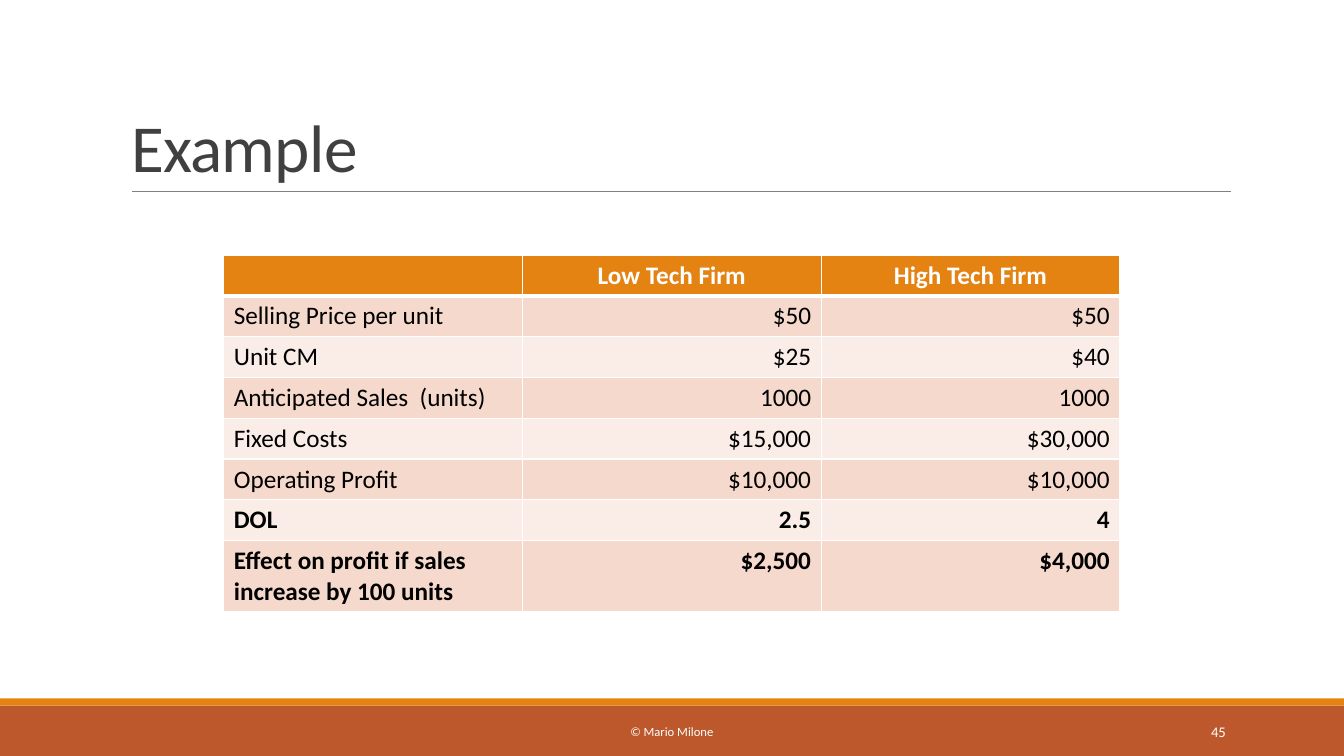
from lxml.etree import SubElement
from pptx import Presentation
from pptx.dml.color import RGBColor
from pptx.enum.shapes import MSO_CONNECTOR, MSO_SHAPE
from pptx.enum.text import MSO_ANCHOR, PP_ALIGN
from pptx.oxml import parse_xml
from pptx.oxml.ns import nsdecls, qn
from pptx.util import Inches, Pt

ORANGE, RUST, WHITE = "E48312", "BD582C", "FFFFFF"
BANDS = ("F5D9CC", "FAEDE7")
ROWS = [
    ("", "Low Tech Firm", "High Tech Firm"),
    ("Selling Price per unit", "$50", "$50"),
    ("Unit CM", "$25", "$40"),
    ("Anticipated Sales  (units)", "1000", "1000"),
    ("Fixed Costs", "$15,000", "$30,000"),
    ("Operating Profit", "$10,000", "$10,000"),
    ("DOL", "2.5", "4"),
    ("Effect on profit if sales increase by 100 units", "$2,500", "$4,000"),
]
BOLD_ROWS = (0, 6, 7)


def rgb(value):
    return RGBColor.from_string(value)


def box(*lengths):
    return [Inches(length) for length in lengths]


def write(tf, text, size, color, align, bold=False):
    p = tf.paragraphs[0]
    p.alignment = align
    r = p.add_run()
    r.text = text
    for name, value in {"name": "Calibri", "size": Pt(size), "bold": bold}.items():
        setattr(r.font, name, value)
    r.font.color.rgb = rgb(color)
    return p, r


def add_band(slide, top, height, color):
    sp = slide.shapes.add_shape(MSO_SHAPE.RECTANGLE, *box(0, top, 13.333, height))
    sp.shadow.inherit = False
    sp.fill.solid()
    sp.fill.fore_color.rgb = rgb(color)
    sp.line.fill.background()


def add_rule(slide):
    line = slide.shapes.add_connector(MSO_CONNECTOR.STRAIGHT, *box(1.31, 1.9, 12.21, 1.9))
    line.line.color.rgb = rgb("808080")
    line.line.width = Pt(0.5)
    SubElement(line._element.spPr, qn("a:effectLst"))


def add_title(slide, text):
    sp = slide.shapes.title
    sp.left, sp.top, sp.width, sp.height = box(1.2, 0.31, 11, 1.59)
    tf = sp.text_frame
    tf.vertical_anchor = MSO_ANCHOR.BOTTOM
    p, r = write(tf, text, 48, "404040", PP_ALIGN.LEFT)
    p.line_spacing = 0.85
    r._r.get_or_add_rPr().set("spc", "-50")


def add_footer(slide, left, width, text, size, align):
    tf = slide.shapes.add_textbox(*box(left, 7.06, width, 0.4)).text_frame
    tf.word_wrap = True
    tf.vertical_anchor = MSO_ANCHOR.MIDDLE
    write(tf, text, size, WHITE, align)


def set_borders(cell, widths):
    tcPr = cell._tc.get_or_add_tcPr()
    for i, (side, width) in enumerate(widths.items()):
        tcPr.insert(i, parse_xml(
            f'<a:ln{side} {nsdecls("a")} w="{Pt(width)}"><a:solidFill>'
            f'<a:srgbClr val="{WHITE}"/></a:solidFill></a:ln{side}>'))


def fill_cell(cell, text, row, col):
    header = row == 0
    cell.fill.solid()
    cell.fill.fore_color.rgb = rgb(ORANGE if header else BANDS[(row - 1) % 2])
    set_borders(cell, {"L": 1, "R": 1, "T": 3 if row == 1 else 1, "B": 3 if header else 1})
    if text:
        body_align = PP_ALIGN.RIGHT if col else PP_ALIGN.LEFT
        write(cell.text_frame, text, 18, WHITE if header else "000000",
              PP_ALIGN.CENTER if header else body_align, row in BOLD_ROWS)


def add_firm_table(slide):
    table = slide.shapes.add_table(
        len(ROWS), len(ROWS[0]), *box(2.22, 2.53, 8.89, 0.405 * len(ROWS))).table
    for row, texts in enumerate(ROWS):
        for col, text in enumerate(texts):
            fill_cell(table.cell(row, col), text, row, col)


def main():
    prs = Presentation()
    prs.slide_width, prs.slide_height = box(13.333, 7.5)
    slide = prs.slides.add_slide(prs.slide_layouts[5])
    add_band(slide, 7, 0.5, RUST)
    add_band(slide, 6.93, 0.07, ORANGE)
    add_rule(slide)
    add_title(slide, "Example")
    add_footer(slide, 4.03, 5.27, "© Mario Milone", 9, PP_ALIGN.CENTER)
    add_footer(slide, 10.83, 1.43, "45", 10.5, PP_ALIGN.RIGHT)
    add_firm_table(slide)
    prs.save("out.pptx")


if __name__ == "__main__":
    main()
